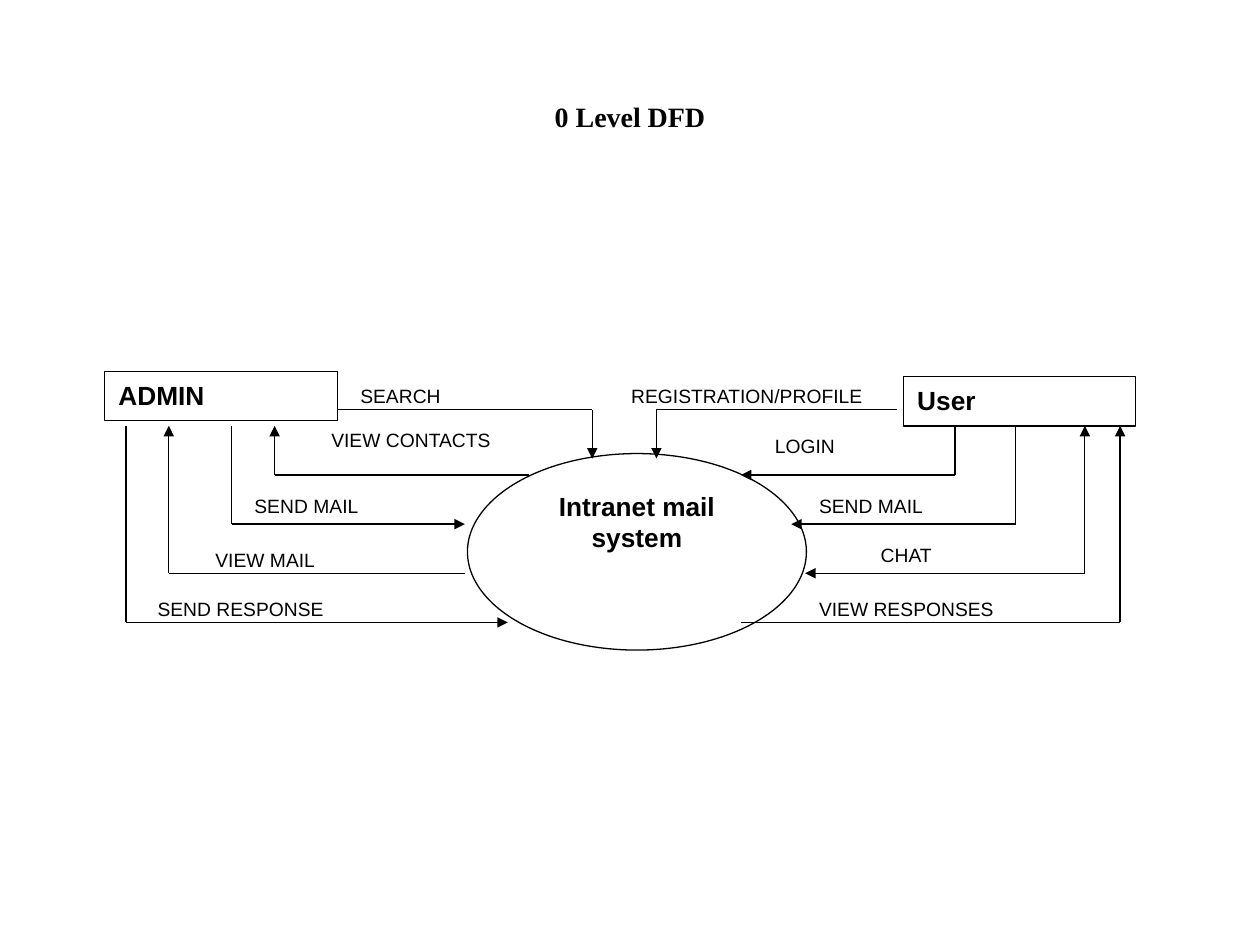
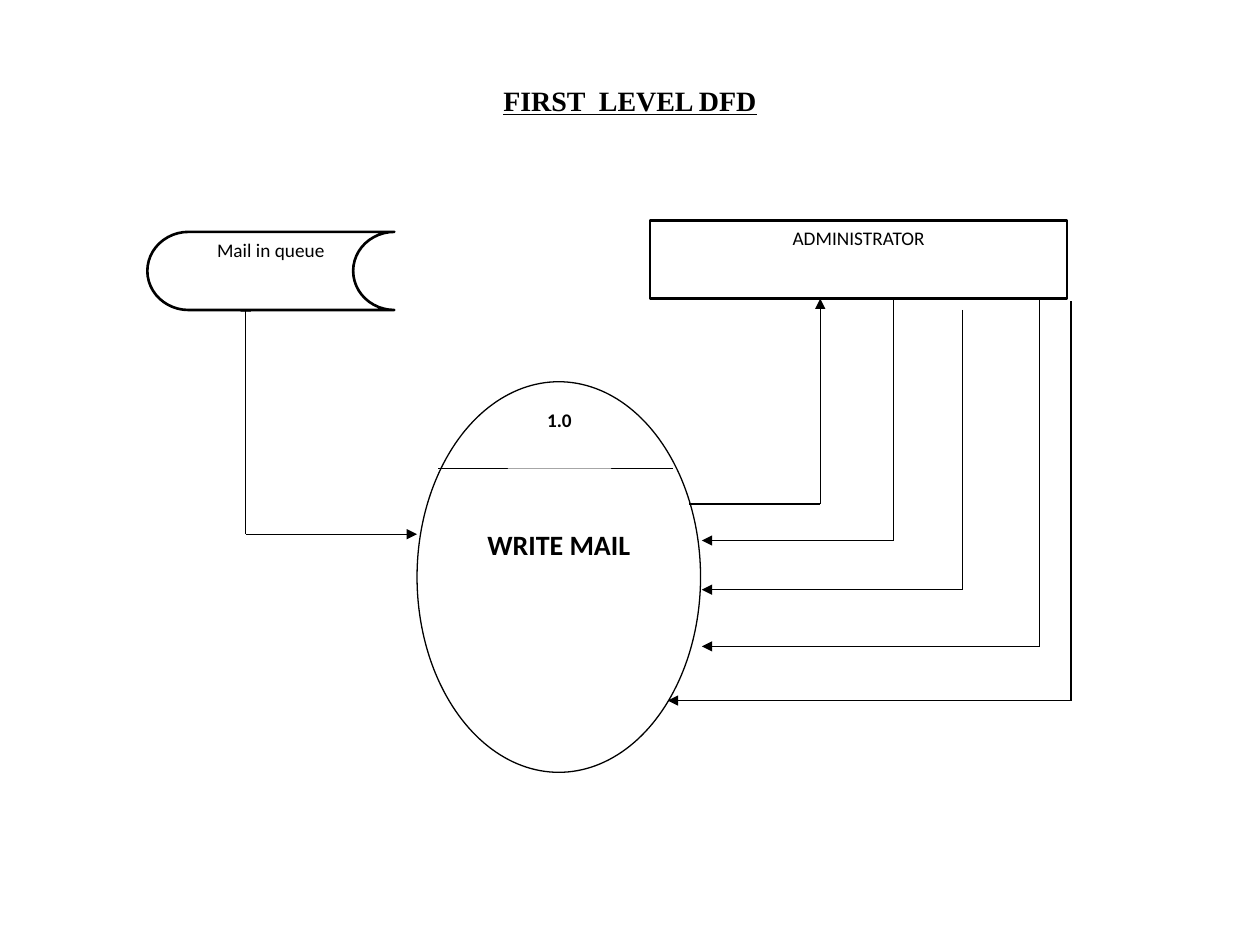
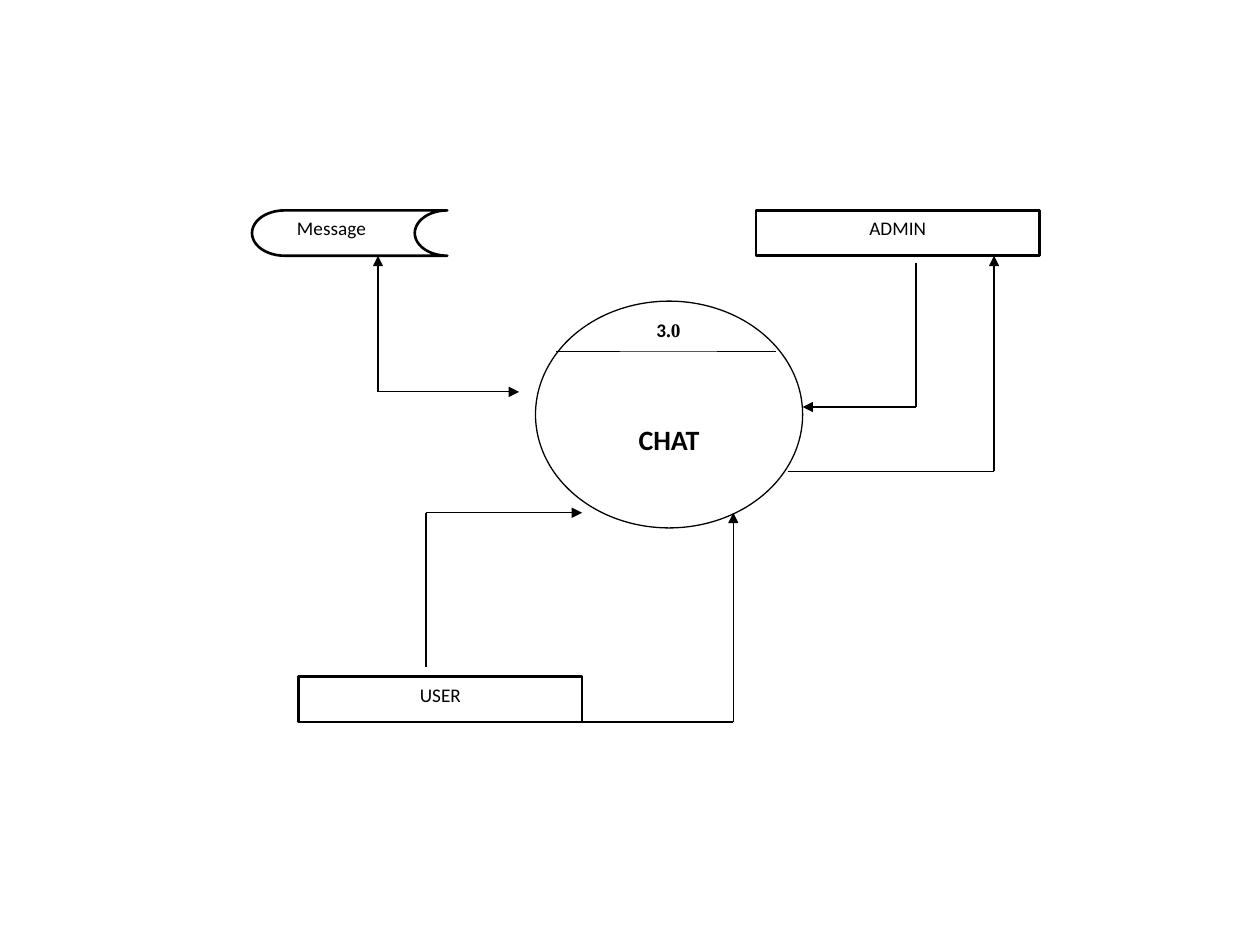
import pptx
import pptx.util
import pptx.dml.color
import pptx.enum.shapes
import pptx.enum.text
import pptx.oxml
import pptx.oxml.ns

Inches, Pt = pptx.util.Inches, pptx.util.Pt
SHAPE = pptx.enum.shapes.MSO_SHAPE
ALIGN = pptx.enum.text.PP_ALIGN
ANCHOR = pptx.enum.text.MSO_ANCHOR
COLORS = {name: pptx.dml.color.RGBColor.from_string(value)
          for name, value in {"ink": "000000", "paper": "FFFFFF"}.items()}
THIN, THICK = 0.75, 1.5


def add_node(slide, kind, box, text, size=11, font="Calibri", bold=False, align=ALIGN.CENTER,
             line="ink", weight=THIN, inset=(0.1, 0.05)):
    """Add a white shape with one top-anchored paragraph; line=None leaves out the outline."""
    sp = slide.shapes.add_shape(kind, *map(Inches, box))
    sp.shadow.inherit = False
    sp.fill.solid()
    sp.fill.fore_color.rgb = COLORS["paper"]
    if line:
        sp.line.color.rgb = COLORS[line]
        sp.line.width = Pt(weight)
    else:
        sp.line.fill.background()
    tf = sp.text_frame
    tf.word_wrap = True
    tf.vertical_anchor = ANCHOR.TOP
    tf.margin_left = tf.margin_right = Inches(inset[0])
    tf.margin_top, tf.margin_bottom = Inches(inset[1]), Inches(0.05)
    p = tf.paragraphs[0]
    p.text, p.alignment = text, align
    for r in p.runs:
        r.font.name, r.font.size, r.font.bold = font, Pt(size), bold
        r.font.color.rgb = COLORS["ink"]
    return sp


def add_flow(slide, points, arrows="end"):
    """Join the points with straight lines; arrows is "end", "both" or "none"."""
    last = len(points) - 2
    for i, (start, end) in enumerate(zip(points, points[1:])):
        line = slide.shapes.add_connector(pptx.enum.shapes.MSO_CONNECTOR.STRAIGHT,
                                          *map(Inches, start + end))
        line.line.color.rgb = COLORS["ink"]
        line.line.width = Pt(THIN)
        ln = line.line._get_or_add_ln()
        ends = [("a:headEnd", arrows == "both" and i == 0),
                ("a:tailEnd", arrows != "none" and i == last)]
        for tag, shown in ends:
            if shown:
                pptx.oxml.ns.qn(tag)
                el = pptx.oxml.parse_xml(f"<{tag} {pptx.oxml.ns.nsdecls('a')} type='triangle'/>")
                ln.append(el)
        line._element.spPr.append(
            pptx.oxml.parse_xml(f"<a:effectLst {pptx.oxml.ns.nsdecls('a')}/>"))


prs = pptx.Presentation()
prs.slide_width, prs.slide_height = Inches(10), Inches(7.5)
title_only, blank = prs.slide_layouts[5], prs.slide_layouts[6]

# Titled slides: context diagram and first level
titled = []
for text, underline, bottom in [("0 Level DFD", False, 0.05), ("FIRST  LEVEL DFD", True, 0.31)]:
    slide = prs.slides.add_slide(title_only)
    title = slide.shapes.title
    title.left, title.top, title.width, title.height = map(Inches, (0.5, 0.3, 9, 1.25))
    tf = title.text_frame
    tf.text = text
    tf.auto_size = pptx.enum.text.MSO_AUTO_SIZE.NONE
    tf.vertical_anchor = ANCHOR.MIDDLE
    tf.margin_bottom = Inches(bottom)
    p = tf.paragraphs[0]
    p.alignment = ALIGN.CENTER
    font = p.runs[0].font
    font.name, font.size, font.bold, font.underline = "Times New Roman", Pt(16), True, underline
    font.color.rgb = COLORS["ink"]
    titled.append(slide)
context, first_level = titled

# Slide 1: flows run on equal rows below the two actors
actor_base, row_step = 3.38, 0.39
contacts, send, view, response = [round(actor_base + row_step * n, 2) for n in range(1, 5)]
search = 3.25
wide = (0.11, 0.06)
add_node(context, SHAPE.OVAL, (3.71, 3.6, 2.69, 1.56), "Intranet mail system",
         15, "Arial", True, inset=wide)
for text, *box in [
    ("SEARCH", 2.75, 2.99, 1.63, 0.26),
    ("VIEW CONTACTS", 2.52, 3.34, 2, 0.26),
    ("SEND MAIL", 1.91, 3.86, 1.84, 0.24),
    ("VIEW MAIL", 1.6, 4.29, 1.76, 0.26),
    ("SEND RESPONSE", 1.14, 4.68, 2.48, 0.26),
    ("REGISTRATION/PROFILE", 4.9, 2.99, 2.5, 0.26),
    ("LOGIN", 6.04, 3.39, 1.75, 0.37),
    ("SEND MAIL", 6.39, 3.86, 2.19, 0.39),
    ("CHAT", 6.88, 4.25, 0.92, 0.24),
    ("VIEW RESPONSES", 6.39, 4.68, 2.02, 0.26),
]:
    add_node(context, SHAPE.RECTANGLE, box, text, 11, "Arial",
             align=ALIGN.LEFT, line="paper", inset=wide)
for actor_x, row, system_x in [(1.84, send, 3.69), (1, response, 4.03),
                               (7.58, contacts, 5.88), (8.06, send, 6.28)]:
    add_flow(context, [(actor_x, actor_base), (actor_x, row), (system_x, row)])
for system_x, row, actor_x in [(4.2, contacts, 2.18), (3.69, view, 1.34), (5.88, response, 8.89)]:
    add_flow(context, [(system_x, row), (actor_x, row), (actor_x, actor_base)])
for actor_x, system_x in [(2.68, 4.7), (7.12, 5.21)]:
    add_flow(context, [(actor_x, search), (system_x, search), (system_x, 3.64)])
add_flow(context, [(8.61, actor_base), (8.61, view), (6.39, view)], "both")
for text, *box in [("ADMIN", 0.83, 2.95, 1.85, 0.39), ("User", 7.17, 2.99, 1.84, 0.39)]:
    add_node(context, SHAPE.RECTANGLE, box, text, 15, "Arial", True, ALIGN.LEFT, inset=wide)

# Slides 2 and 3: a numbered process with a store and actors around it
chat = prs.slides.add_slide(blank)
numbers = []
for slide, name, oval, divider, number, number_box in [
    (first_level, "WRITE MAIL", (3.31, 3.03, 2.25, 3.1), [(3.48, 3.72), (5.34, 3.72)],
     "1.0", (4.03, 3.19, 0.82, 0.53)),
    (chat, "CHAT", (4.25, 2.39, 2.12, 1.8), [(4.41, 2.79), (6.16, 2.79)],
     "3", (4.92, 2.48, 0.77, 0.31)),
]:
    add_node(slide, SHAPE.OVAL, oval, name, 16, bold=True, inset=(0.1, 0.7))
    add_flow(slide, divider, "none")
    numbers.append(add_node(slide, SHAPE.RECTANGLE, number_box, number, bold=True, line=None))
r = numbers[1].text_frame.paragraphs[0].add_run()
r.text = ".0"
r.font.name, r.font.size, r.font.bold = "Times New Roman", Pt(11), True
r.font.color.rgb = COLORS["ink"]

for slide, points, arrows in [
    (first_level, [(1.95, 2.39), (1.95, 4.24), (3.31, 4.24)], "both"),
    (first_level, [(5.47, 4), (6.51, 4), (6.51, 2.37)], "end"),
    (first_level, [(7.09, 2.37), (7.09, 4.29), (5.57, 4.29)], "end"),
    (first_level, [(7.64, 2.46), (7.64, 4.68), (5.57, 4.68)], "end"),
    (first_level, [(8.25, 2.37), (8.25, 5.13), (5.57, 5.13)], "end"),
    (first_level, [(8.5, 2.39), (8.5, 5.56), (5.3, 5.56)], "end"),
    (chat, [(3, 2.03), (3, 3.11), (4.12, 3.11)], "both"),
    (chat, [(7.27, 2.09), (7.27, 3.23), (6.37, 3.23)], "end"),
    (chat, [(6.25, 3.74), (7.89, 3.74), (7.89, 2.03)], "end"),
    (chat, [(3.38, 5.29), (3.38, 4.07), (4.62, 4.07)], "end"),
    (chat, [(4.62, 5.73), (5.82, 5.73), (5.82, 4.07)], "end"),
]:
    add_flow(slide, points, arrows)

store, actor = SHAPE.FLOWCHART_STORED_DATA, SHAPE.RECTANGLE
for slide, kind, text, align, *box in [
    (first_level, actor, "ADMINISTRATOR", ALIGN.CENTER, 5.16, 1.75, 3.31, 0.62),
    (first_level, store, "Mail in queue", ALIGN.CENTER, 1.17, 1.84, 1.96, 0.62),
    (chat, actor, "ADMIN", ALIGN.CENTER, 6, 1.67, 2.25, 0.36),
    (chat, actor, "USER", ALIGN.CENTER, 2.37, 5.37, 2.25, 0.36),
    (chat, store, "Message", ALIGN.LEFT, 2, 1.67, 1.55, 0.36),
]:
    add_node(slide, kind, box, text, align=align, weight=THICK)

prs.save("out.pptx")
